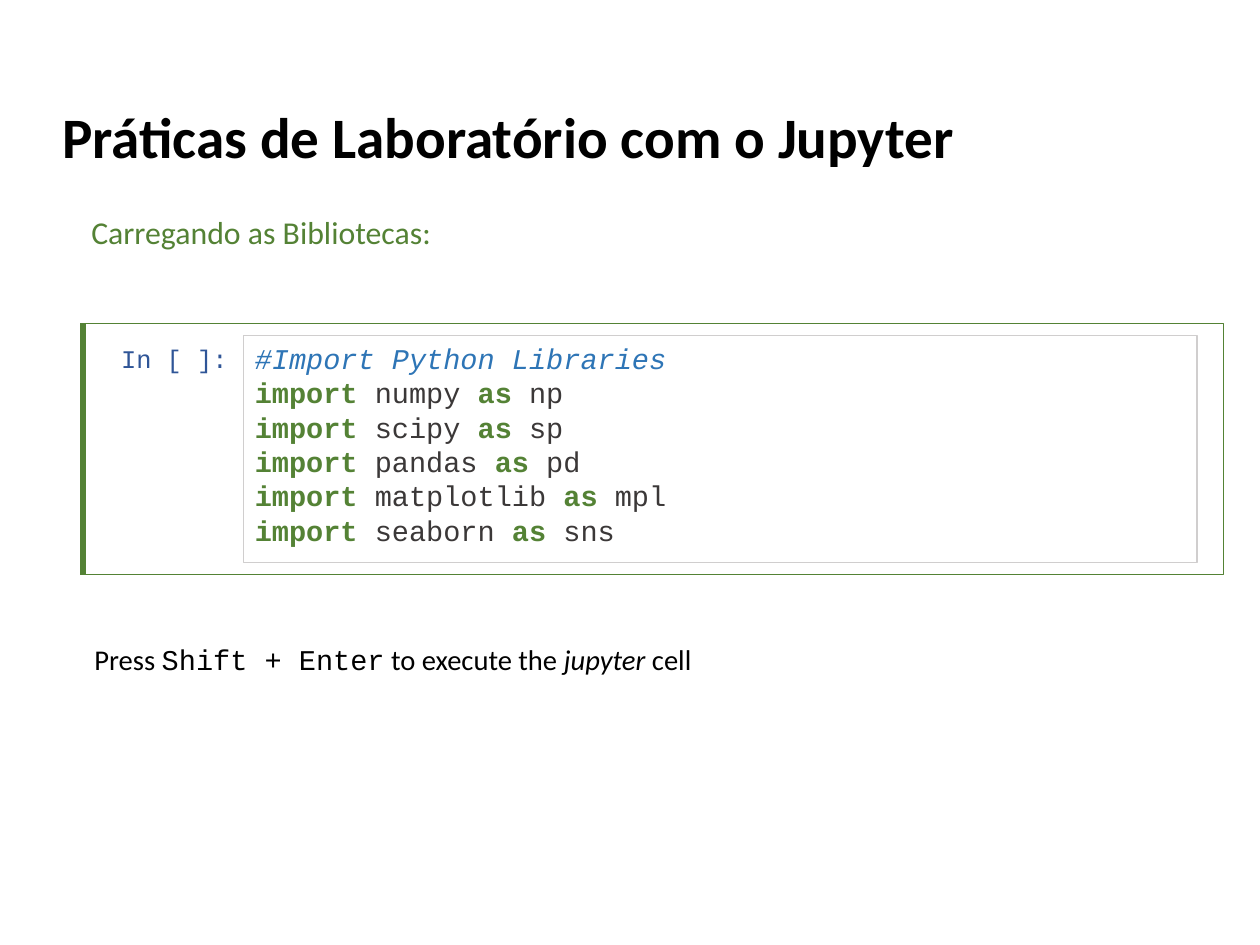
from lxml.etree import SubElement
from pptx import Presentation
from pptx.dml.color import RGBColor
from pptx.enum.shapes import MSO_CONNECTOR, MSO_SHAPE
from pptx.enum.text import MSO_ANCHOR, MSO_AUTO_SIZE, PP_ALIGN
from pptx.oxml.ns import qn
from pptx.util import Emu, Inches, Pt

BLACK = RGBColor(0x00, 0x00, 0x00)
GREEN = RGBColor(0x54, 0x82, 0x35)
BLUE = RGBColor(0x2E, 0x75, 0xB6)
NAVY = RGBColor(0x2F, 0x55, 0x97)
DARK = RGBColor(0x3B, 0x38, 0x38)
GRAY = RGBColor(0xD0, 0xCE, 0xCE)
MONO = "Courier New"

prs = Presentation()
prs.slide_width, prs.slide_height = Emu(10080625), Emu(7559675)
s = prs.slides.add_slide(prs.slide_layouts[5])


def box(x, y, w, h):
    W, H = prs.slide_width, prs.slide_height
    return [round(v) for v in (x * W / 100, y * H / 100, w * W / 100, h * H / 100)]


def add_text(p, text, size=18, font="Calibri", color=BLACK, bold=False, italic=False):
    r = p.add_run()
    r.text = text
    r.font.size, r.font.name = Pt(size), font
    r.font.color.rgb = color
    r.font.bold, r.font.italic = bold, italic


title = s.shapes.title
title.left, title.top, title.width, title.height = box(4.95, 6.13, 70.78, 16.44)
tf = title.text_frame
tf.margin_left = tf.margin_top = tf.margin_right = tf.margin_bottom = 0
tf.word_wrap, tf.auto_size = True, MSO_AUTO_SIZE.NONE
tf.vertical_anchor = MSO_ANCHOR.MIDDLE
p = tf.paragraphs[0]
p.alignment = PP_ALIGN.LEFT
add_text(p, "Práticas de Laboratório com o Jupyter", size=36, bold=True)

prompt = s.shapes.add_textbox(*box(5.72, 35.5, 13.7, 5.08))
tf = prompt.text_frame
tf.word_wrap = True
tf.margin_left, tf.margin_top, tf.margin_right = Inches(0.43), Inches(0.07), 0
add_text(tf.paragraphs[0], "In [ ]:", size=16, font=MONO, color=NAVY)

code = s.shapes.add_shape(MSO_SHAPE.RECTANGLE, *box(19.33, 35.5, 75.68, 24.06))
code.line.color.rgb, code.line.width = GRAY, 0
tf = code.text_frame
tf.word_wrap, tf.vertical_anchor = True, MSO_ANCHOR.TOP
p = tf.paragraphs[0]
p.alignment = PP_ALIGN.LEFT
add_text(p, "#Import Python Libraries", font=MONO, color=BLUE, italic=True)
libraries = [("numpy", "np"), ("scipy", "sp"), ("pandas", "pd"),
             ("matplotlib", "mpl"), ("seaborn", "sns")]
for library, alias in libraries:
    p = tf.add_paragraph()
    p.alignment = PP_ALIGN.LEFT
    for keyword, name in (("import", f" {library} "), ("as", f" {alias}")):
        add_text(p, keyword, font=MONO, color=GREEN, bold=True)
        add_text(p, name, font=MONO, color=DARK)

x, y, w, h = box(6.6, 34.22, 90.5, 26.6)
cell = s.shapes.add_shape(MSO_SHAPE.RECTANGLE, x, y, w, h)
cell.line.color.rgb, cell.line.width = GREEN, Pt(0.75)
for sp in (code, cell):
    sp.fill.background()
    sp.shadow.inherit = False

bar = s.shapes.add_connector(MSO_CONNECTOR.STRAIGHT, x, y, x, y + h)
bar.line.color.rgb, bar.line.width = GREEN, Pt(4)
SubElement(bar._element.spPr, qn("a:effectLst"))

hint = s.shapes.add_textbox(*box(6.6, 67.3, 76.13, 5.08))
hint.text_frame.word_wrap = True
p = hint.text_frame.paragraphs[0]
add_text(p, "Press ")
add_text(p, "Shift + Enter", font=MONO)
add_text(p, " to execute the ")
add_text(p, "jupyter", italic=True)
add_text(p, " cell")

subtitle = s.shapes.add_textbox(*box(6.35, 21.89, 37.93, 5.32))
subtitle.text_frame.word_wrap = True
add_text(subtitle.text_frame.paragraphs[0], "Carregando as Bibliotecas:", size=20, color=GREEN)

prs.save("out.pptx")
